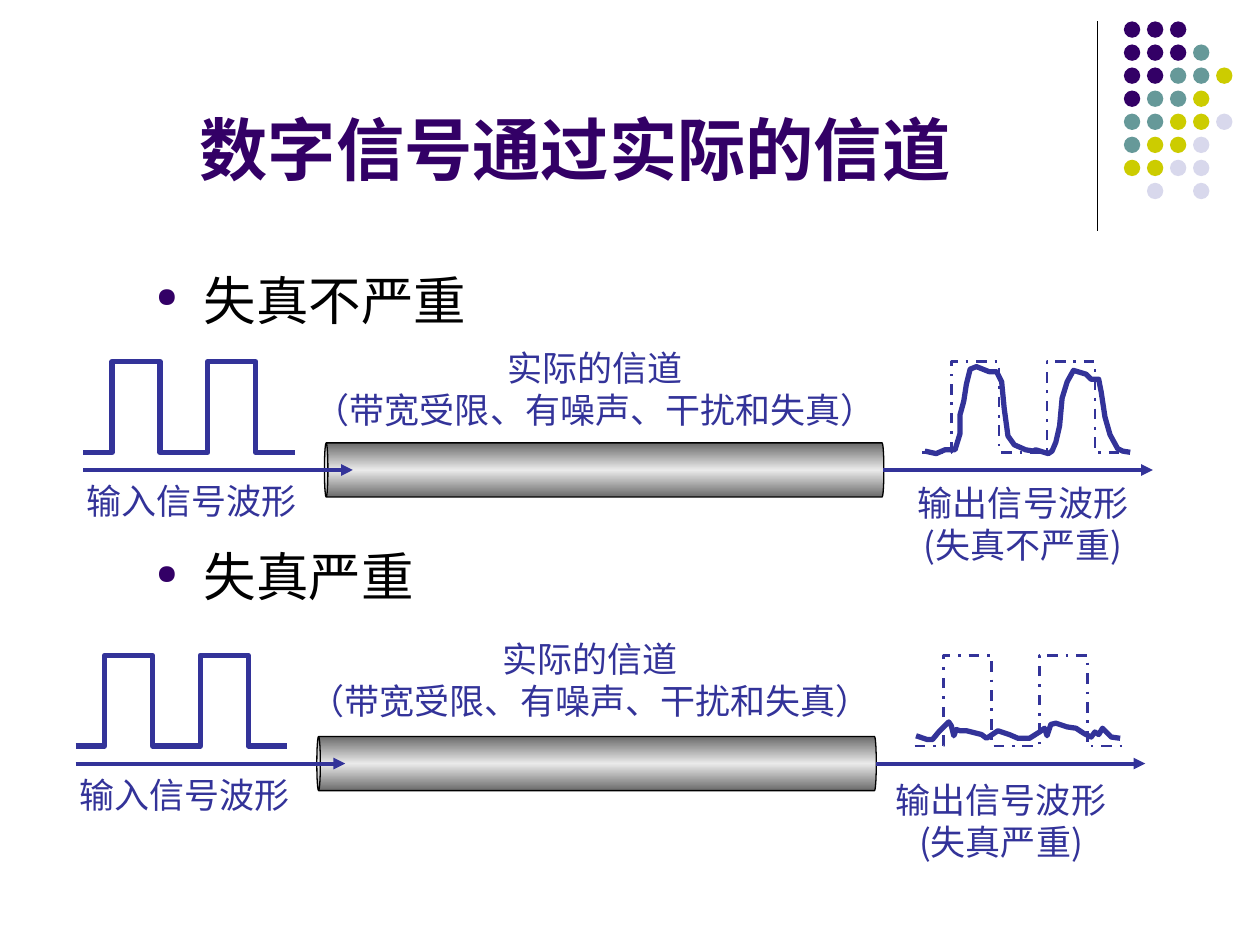
from dataclasses import dataclass

from lxml.etree import SubElement
from pptx import Presentation
from pptx.dml.color import RGBColor
from pptx.enum.dml import MSO_LINE
from pptx.enum.shapes import MSO_CONNECTOR, MSO_SHAPE
from pptx.enum.text import MSO_ANCHOR, PP_ALIGN
from pptx.oxml.ns import qn
from pptx.util import Inches, Pt

PURPLE, TEAL, OLIVE, LAVENDER = "330066", "669999", "CCCC00", "D8D8EC"
BLUE, BLACK = "333399", "000000"
CHINESE_FONT = "Noto Sans CJK SC"
Point = tuple[float, float]


@dataclass
class Channel:
    left: float
    axis: float
    caption: Point
    output_label: tuple[float, float, float]
    output_note: str
    trace: list[Point]


@dataclass
class TextStyle:
    size: float
    color: str
    font: str = CHINESE_FONT
    bold: bool = False
    align: PP_ALIGN = PP_ALIGN.CENTER
    line_height: float | None = None


# Received waveforms, in inches on the slide
MILD_TRACE = [
    (7.34, 3.58), (7.43, 3.6), (7.5, 3.57), (7.58, 3.57), (7.62, 3.44), (7.62, 3.29),
    (7.64, 3.22), (7.65, 3.18), (7.67, 3.05), (7.7, 2.93), (7.75, 2.91), (7.85, 2.95),
    (7.91, 2.95), (7.95, 3.03), (7.97, 3.24), (8, 3.46), (8.05, 3.53), (8.14, 3.57),
    (8.2, 3.58), (8.22, 3.57), (8.32, 3.6), (8.35, 3.58), (8.38, 3.51), (8.41, 3.38),
    (8.43, 3.16), (8.47, 3.03), (8.52, 2.94), (8.62, 2.97), (8.66, 3.01), (8.72, 3.01),
    (8.74, 3.11), (8.77, 3.31), (8.81, 3.45), (8.87, 3.56), (8.91, 3.58), (8.97, 3.59),
]
SEVERE_TRACE = [
    (7.27, 5.84), (7.36, 5.87), (7.4, 5.87), (7.45, 5.81), (7.53, 5.73), (7.55, 5.76),
    (7.57, 5.84), (7.59, 5.79), (7.62, 5.8), (7.67, 5.8), (7.79, 5.83), (7.83, 5.86),
    (7.92, 5.8), (8.01, 5.83), (8.08, 5.86), (8.17, 5.86), (8.25, 5.81), (8.29, 5.78),
    (8.31, 5.84), (8.34, 5.75), (8.38, 5.74), (8.47, 5.77), (8.54, 5.78), (8.6, 5.82),
    (8.66, 5.85), (8.69, 5.81), (8.72, 5.83), (8.75, 5.78), (8.82, 5.85), (8.89, 5.86),
]
CHANNELS = [
    Channel(0.66, 3.73, (2.4, 2.7), (7.07, 3.77, 2.1), "(失真不严重)", MILD_TRACE),
    Channel(0.6, 6.06, (2.36, 5.01), (6.93, 6.13, 2.03), "(失真严重)", SEVERE_TRACE),
]
DOT_COLORS = {"P": PURPLE, "T": TEAL, "O": OLIVE, "L": LAVENDER}
DOT_ROWS = ["PPP", "PPPT", "PPTTO", "PTTO", "TTOOL", "TOOL", "OOLL", " L L"]


def rgb(color: str) -> RGBColor:
    return RGBColor.from_string(color)


def add_line(page, start: Point, end: Point, color: str, width: float, arrow: bool = False):
    line = page.shapes.add_connector(
        MSO_CONNECTOR.STRAIGHT, *(Inches(value) for value in (*start, *end)))
    line.line.color.rgb = rgb(color)
    line.line.width = Pt(width)
    properties = line._element.spPr
    if arrow:
        SubElement(line.line._get_or_add_ln(), qn("a:tailEnd"), type="triangle")
    SubElement(properties, qn("a:effectLst"))


def add_waveform(page, points: list[Point], width: float, dash: MSO_LINE | None = None):
    start, *others = [(Inches(x), Inches(y)) for x, y in points]
    builder = page.shapes.build_freeform(*start)
    builder.add_line_segments(others, close=False)
    wave = builder.convert_to_shape()
    wave.shadow.inherit = False
    wave.fill.background()
    wave.line.color.rgb = rgb(BLUE)
    wave.line.width = Pt(width)
    if dash is not None:
        wave.line.dash_style = dash


def pulse_points(left: float, axis: float) -> list[Point]:
    base, top = axis - 0.14, axis - 0.86
    points = [(left, base)]
    for rise in (0.23, 0.99):
        fall = rise + 0.38
        points += [(left + rise, base), (left + rise, top),
                   (left + fall, top), (left + fall, base)]
    return points + [(left + 1.68, base)]


def add_text(page, left: float, top: float, width: float, height: float,
             lines: list[str], style: TextStyle, wrap: bool = True):
    box = page.shapes.add_textbox(Inches(left), Inches(top), Inches(width), Inches(height))
    frame = box.text_frame
    frame.word_wrap = wrap
    for index, line in enumerate(lines):
        para = frame.paragraphs[0] if index == 0 else frame.add_paragraph()
        para.alignment = style.align
        if style.line_height:
            para.line_spacing = Pt(style.line_height)
        span = para.add_run()
        span.text = line
        span.font.size = Pt(style.size)
        span.font.bold = style.bold
        span.font.name = style.font
        span.font.color.rgb = rgb(style.color)
        SubElement(span._r.get_or_add_rPr(), qn("a:ea"), typeface=CHINESE_FONT)
    return frame


def add_label(page, left: float, top: float, width: float, lines: list[str],
              font: str = CHINESE_FONT, align: PP_ALIGN = PP_ALIGN.CENTER, wrap: bool = True):
    style = TextStyle(20, BLUE, font, align=align, line_height=24)
    add_text(page, left, top, width, 0.1 + 0.335 * len(lines), lines, style, wrap)


def add_pipe(page, left: float, top: float):
    pipe = page.shapes.add_shape(
        MSO_SHAPE.CAN, Inches(left), Inches(top), Inches(0.43), Inches(4.44))
    pipe.rotation = 270
    pipe.adjustments[0] = 0.065
    pipe.shadow.inherit = False
    pipe.line.color.rgb = rgb(BLACK)
    pipe.line.width = Pt(0.75)
    pipe.fill.gradient()
    pipe.fill.gradient_angle = 0
    stops = pipe._element.spPr.find(".//" + qn("a:gsLst"))
    stops.clear()
    for position, color in ((0, "6B6B6B"), (50000, "EAEAEA"), (100000, "6B6B6B")):
        stop = SubElement(stops, qn("a:gs"), pos=str(position))
        SubElement(stop, qn("a:srgbClr"), val=color)


def add_channel(page, channel: Channel):
    left, axis = channel.left, channel.axis
    add_pipe(page, left + 3.92, axis - 2.22)
    add_waveform(page, pulse_points(left, axis), 3)
    add_waveform(page, pulse_points(left + 6.66, axis), 1.5, MSO_LINE.DASH_DOT)
    for start in (left, left + 6.35):
        add_line(page, (start, axis), (start + 2.14, axis), BLUE, 2.25, arrow=True)
    add_waveform(page, channel.trace, 3)
    add_label(page, *channel.caption, 4.65, ["实际的信道", "（带宽受限、有噪声、干扰和失真）"],
              "Times New Roman", wrap=False)
    add_label(page, left - 0.07, axis + 0.03, 1.87, ["输入信号波形"],
              align=PP_ALIGN.LEFT, wrap=False)
    add_label(page, *channel.output_label, ["输出信号波形", channel.output_note])


def add_dots(page):
    pitch = 0.183
    for row, codes in enumerate(DOT_ROWS):
        for column, code in enumerate(codes):
            if code in DOT_COLORS:
                dot = page.shapes.add_shape(
                    MSO_SHAPE.OVAL, Inches(8.92 + column * pitch),
                    Inches(0.17 + row * pitch), Inches(0.13), Inches(0.13))
                dot.shadow.inherit = False
                dot.fill.solid()
                dot.fill.fore_color.rgb = rgb(DOT_COLORS[code])
                dot.line.fill.background()


def add_bullets(page):
    style = TextStyle(30, BLACK, "Arial", align=PP_ALIGN.LEFT, line_height=40)
    frame = add_text(page, 1.14, 2.02, 8.5, 4.5, ["失真不严重", "失真严重"], style)
    frame.paragraphs[1].space_before = Pt(118)
    for para in frame.paragraphs:
        properties = para._p.get_or_add_pPr()
        properties.set("marL", str(Inches(0.38)))
        properties.set("indent", str(-Inches(0.38)))
        color = SubElement(properties, qn("a:buClr"))
        SubElement(color, qn("a:srgbClr"), val=PURPLE)
        SubElement(properties, qn("a:buSzPct"), val="52000")
        SubElement(properties, qn("a:buChar"), char="●")


def main():
    deck = Presentation()
    deck.slide_width, deck.slide_height = Inches(10), Inches(7.5)
    page = deck.slides.add_slide(deck.slide_layouts[6])

    # Corner decoration
    add_line(page, (8.71, 0.17), (8.71, 1.83), BLACK, 0.75)
    add_dots(page)

    # Title and bullets
    title = add_text(page, 0.5, 0.13, 8.25, 1.42, ["数字信号通过实际的信道 "],
                     TextStyle(39, PURPLE, "Arial", bold=True))
    title.vertical_anchor = MSO_ANCHOR.BOTTOM
    add_bullets(page)

    # Mild and severe distortion
    for channel in CHANNELS:
        add_channel(page, channel)

    deck.save("out.pptx")


if __name__ == "__main__":
    main()
